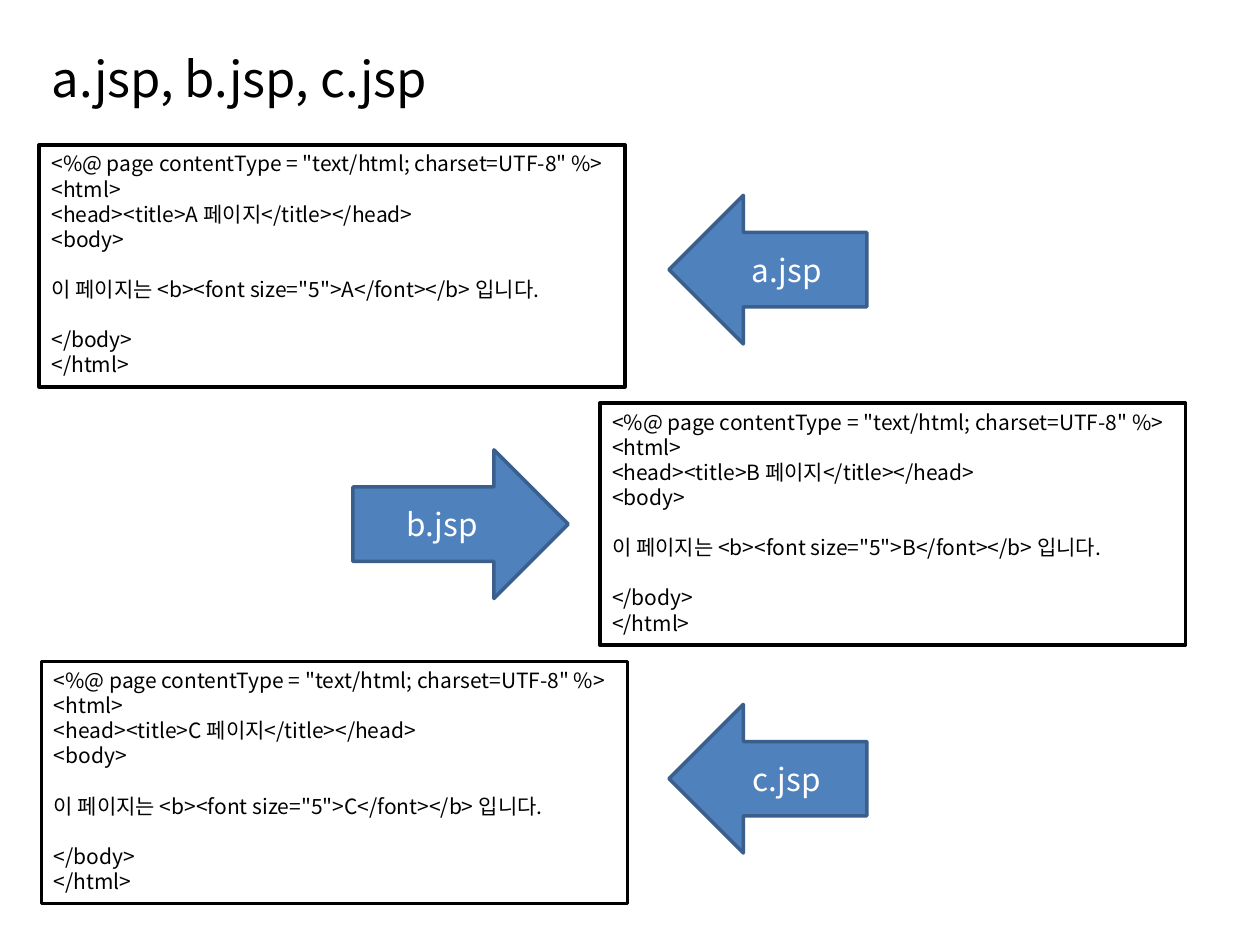
from lxml.etree import SubElement
from pptx import Presentation
from pptx.dml.color import RGBColor as RGB
from pptx.enum.shapes import MSO_SHAPE as Shape
from pptx.enum.text import MSO_ANCHOR as Anchor, PP_ALIGN as Align
from pptx.oxml.ns import qn
from pptx.util import Inches, Pt

FONT = "Noto Sans CJK KR"
BLACK = RGB(0x00, 0x00, 0x00)
WHITE = RGB(0xFF, 0xFF, 0xFF)
BLUE = RGB(0x4F, 0x81, 0xBD)
NAVY = RGB(0x3A, 0x5F, 0x8C)

WIDE, HIGH = Inches(10), Inches(7.5)
COL, ROW = WIDE / 100, HIGH / 75
LEAD = Pt(14.35)

CODE = """<%@ page contentType = "text/html; charset=UTF-8" %>
<html>
<head><title>{0} 페이지</title></head>
<body>

이 페이지는 <b><font size="5">{0}</font></b> 입니다.

</body>
</html>"""


def place(shape, box):
    x, y, w, h = box
    shape.left, shape.width = round(x * COL), round(w * COL)
    shape.top, shape.height = round(y * ROW), round(h * ROW)


def style(para, size, color, align):
    para.alignment = align
    font = para.font
    font.size, font.name = Pt(size), FONT
    font.color.rgb = color
    base = para._p.pPr.find(qn("a:defRPr"))
    SubElement(base, qn("a:ea")).set("typeface", FONT)


def block(slide, kind, box, fill, edge):
    shape = slide.shapes.add_shape(kind, 0, 0, 0, 0)
    place(shape, box)
    shape.shadow.inherit = False
    shape.fill.solid()
    shape.fill.fore_color.rgb = fill
    shape.line.color.rgb = edge
    shape.line.width = Pt(2)
    return shape


def title(slide, box, text):
    shape = slide.shapes.title
    place(shape, box)
    frame = shape.text_frame
    frame.text = text
    frame.vertical_anchor = Anchor.MIDDLE
    style(frame.paragraphs[0], 28, BLACK, Align.LEFT)


def listing(slide, box, name):
    frame = block(slide, Shape.RECTANGLE, box, WHITE, BLACK).text_frame
    frame.word_wrap = True
    frame.vertical_anchor = Anchor.TOP
    para, gap = frame.paragraphs[0], False
    for line in CODE.format(name).split("\n"):
        if not line:
            gap = True
            continue
        if para.text:
            para = frame.add_paragraph()
        para.text = line
        para.line_spacing = LEAD
        if gap:
            para.space_before = LEAD
        gap = False
        style(para, 12, BLACK, Align.LEFT)


def arrow(slide, box, kind, name):
    frame = block(slide, kind, box, BLUE, NAVY).text_frame
    frame.text = f"{name.lower()}.jsp"
    frame.vertical_anchor = Anchor.MIDDLE
    style(frame.paragraphs[0], 18, WHITE, Align.CENTER)


def main():
    deck = Presentation()
    deck.slide_width, deck.slide_height = WIDE, HIGH
    slide = deck.slides.add_slide(deck.slide_layouts[5])
    title(slide, (3.1, 3, 94.5, 6.4), "a.jsp, b.jsp, c.jsp")
    left, right = Shape.LEFT_ARROW, Shape.RIGHT_ARROW
    pages = [
        ("A", 3.1, left, 53.1, 15.7),
        ("B", 47.6, right, 28, 17.1),
        ("C", 3.3, left, 53.1, 15.7),
    ]
    for i, (name, x, kind, start, wide) in enumerate(pages):
        listing(slide, (x, 11.5 + 20.5 * i, 46.5, 19.2), name)
        arrow(slide, (start, 15.5 + 20.2 * i, wide, 11.8), kind, name)
    deck.save("out.pptx")


if __name__ == "__main__":
    main()
